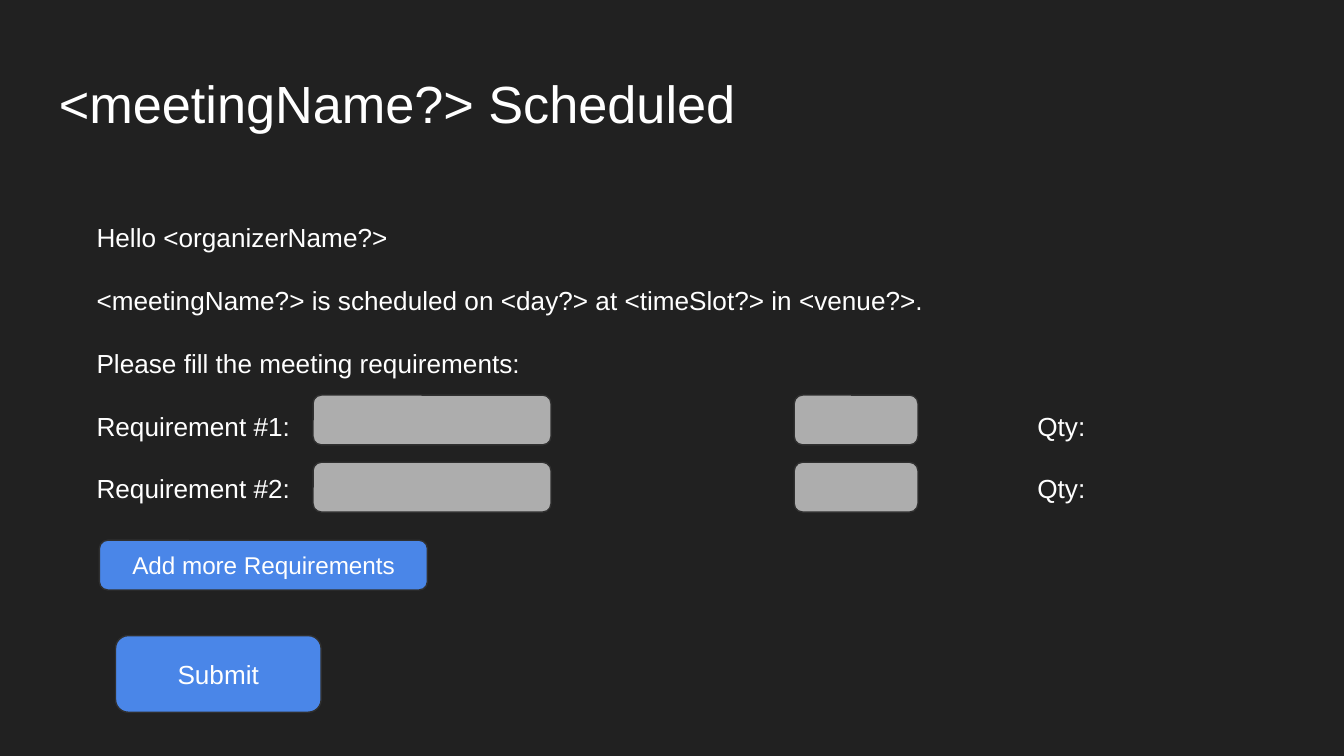
from pptx import Presentation
from pptx.dml.color import RGBColor
from pptx.enum.shapes import MSO_SHAPE
from pptx.enum.text import MSO_ANCHOR, PP_ALIGN
from pptx.util import Inches, Pt
from lxml.etree import SubElement
from pptx.oxml.ns import qn


class Form:
    font = "Arial"
    colors = {"bg": "212121", "text": "FFFFFF", "button": "4A86E8",
              "field": "ADADAD", "line": "303030"}

    def __init__(self, prs):
        self.s = prs.slides.add_slide(prs.slide_layouts[6])
        fill = self.s.background.fill
        fill.solid()
        fill.fore_color.rgb = self.color("bg")

    def color(self, name):
        return RGBColor.from_string(self.colors[name])

    def frame(self, sp):
        tf = sp.text_frame
        tf.word_wrap = True
        tf.margin_left = tf.margin_right = Inches(0.1)
        tf.margin_top = tf.margin_bottom = Inches(0.1)
        return tf

    def run(self, p, text, size):
        r = p.add_run()
        r.text = text
        r.font.name = self.font
        r.font.size = Pt(size)
        r.font.color.rgb = self.color("text")

    def text(self, box, lines, size, gap=0, tab=None):
        sp = self.s.shapes.add_textbox(*map(Inches, box))
        tf = self.frame(sp)
        for i, line in enumerate(lines):
            p = tf.add_paragraph() if i else tf.paragraphs[0]
            p.space_after = Pt(gap)
            if tab and "\t" in line:
                stops = SubElement(p._p.get_or_add_pPr(), qn("a:tabLst"))
                SubElement(stops, qn("a:tab"), pos=str(Inches(tab)), algn="l")
            self.run(p, line, size)

    def box(self, box, fill, text=None, size=14):
        sp = self.s.shapes.add_shape(MSO_SHAPE.ROUNDED_RECTANGLE, *map(Inches, box))
        sp.shadow.inherit = False
        sp.fill.solid()
        sp.fill.fore_color.rgb = self.color(fill)
        sp.line.color.rgb = self.color("line")
        sp.line.width = Pt(0.75)
        if text:
            tf = self.frame(sp)
            tf.vertical_anchor = MSO_ANCHOR.MIDDLE
            p = tf.paragraphs[0]
            p.alignment = PP_ALIGN.CENTER
            self.run(p, text, size)


prs = Presentation()
prs.slide_width = Inches(10)
prs.slide_height = Inches(10) * 9 // 16
form = Form(prs)

form.text((0.34, 0.43, 9.32, 0.87), ["<meetingName?> Scheduled"], 28)
form.text((0.62, 1.55, 8.8, 3.04), [
    "Hello <organizerName?>",
    "<meetingName?> is scheduled on <day?> at <timeSlot?> in <venue?>.",
    "Please fill the meeting requirements:",
    *[f"Requirement #{n}:\tQty:" for n in (1, 2)],
], 14, gap=16.8, tab=7)

for left, width in ((2.33, 1.77), (5.91, 0.92)):
    for row in range(2):
        form.box((left, 2.94 + 0.5 * row, width, 0.37), "field")

form.box((0.74, 4.02, 2.44, 0.37), "button", "Add more Requirements", 13)
form.box((0.86, 4.73, 1.53, 0.57), "button", "Submit")

prs.save("out.pptx")
